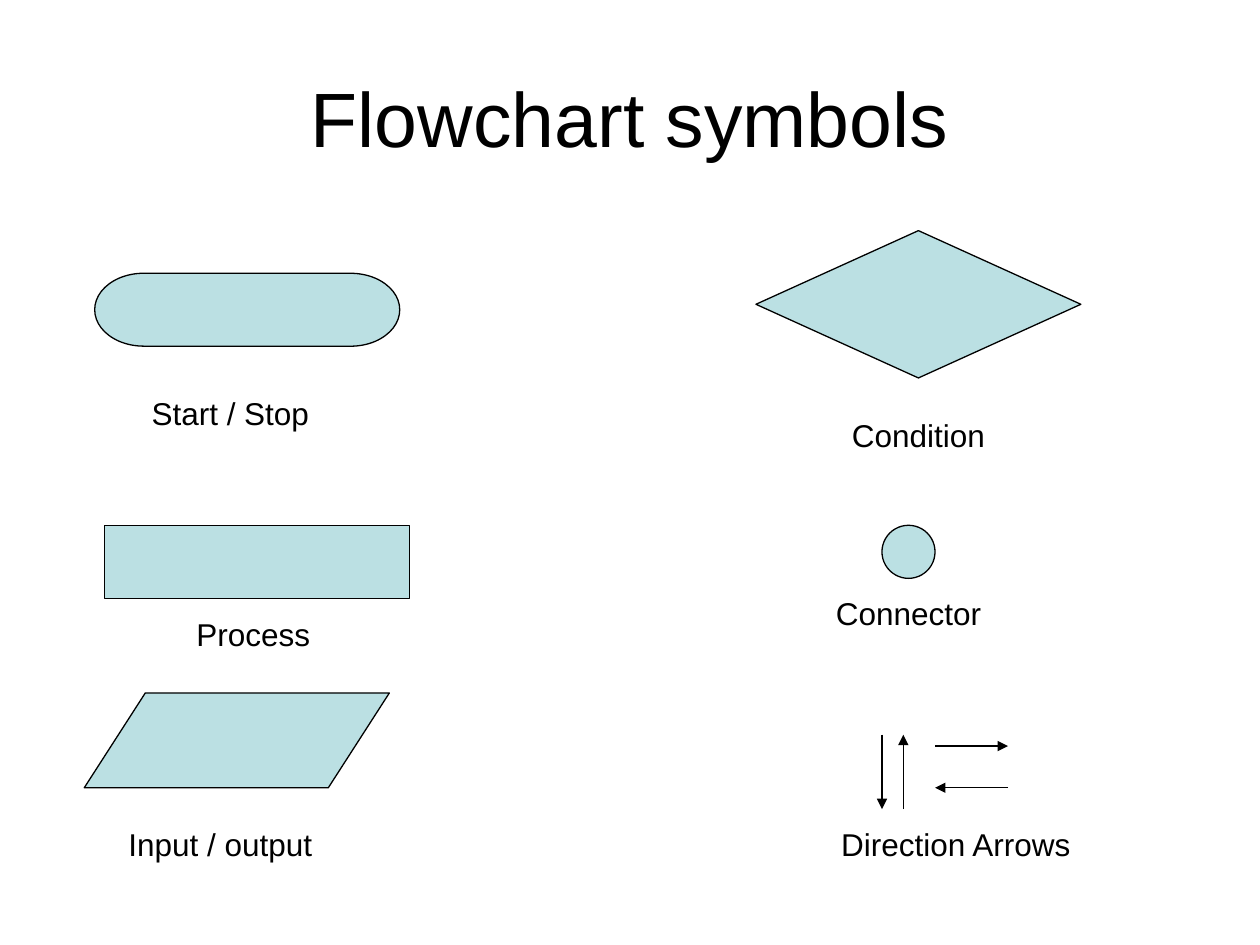
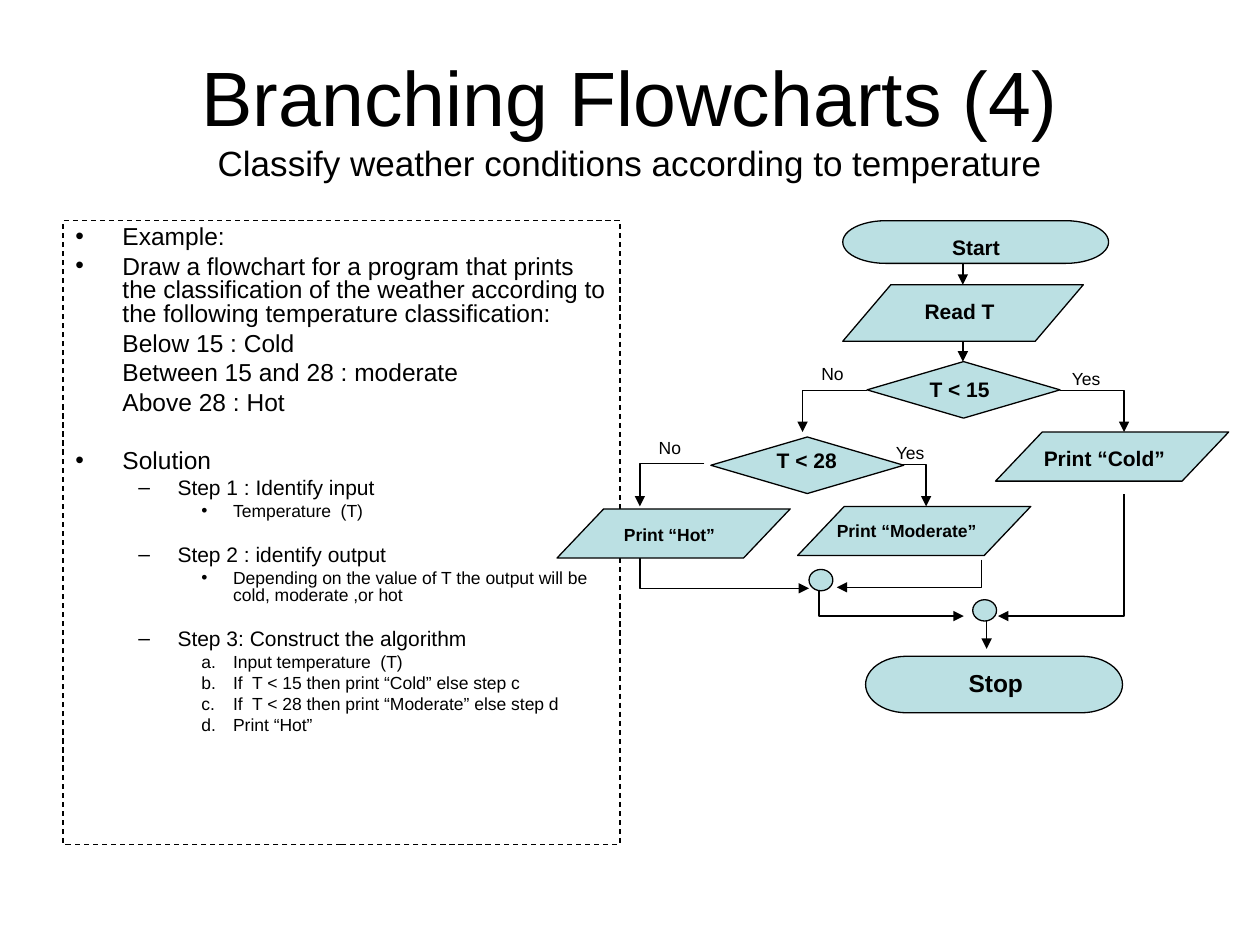
from lxml import etree
from pptx import Presentation
from pptx import util as u
from pptx.dml.color import RGBColor
from pptx.enum import dml, shapes, text
from pptx.oxml import ns

BLACK = RGBColor(0x00, 0x00, 0x00)
PALE_TEAL = RGBColor(0xBB, 0xE0, 0xE3)
FONT = "Arial"
LEFT, CENTER = text.PP_ALIGN.LEFT, text.PP_ALIGN.CENTER

TERMINATOR = shapes.MSO_SHAPE.FLOWCHART_TERMINATOR
PROCESS = shapes.MSO_SHAPE.FLOWCHART_PROCESS
DATA = shapes.MSO_SHAPE.FLOWCHART_DATA
JOIN = shapes.MSO_SHAPE.FLOWCHART_CONNECTOR
DECISION = shapes.MSO_SHAPE.FLOWCHART_DECISION

# Slide 1 content, all lengths in cm
TITLE_BOX = (1.27, 0.76, 22.86, 3.18)
SYMBOLS = [  # kind, (left, top, width, height)
    (TERMINATOR, (1.91, 5.51, 6.15, 1.47)),
    (PROCESS, (2.11, 10.59, 6.15, 1.47)),
    (DATA, (1.7, 13.97, 6.15, 1.91)),
    (JOIN, (17.78, 10.59, 1.07, 1.07)),
    (DECISION, (15.24, 4.65, 6.55, 2.97)),
]
SYMBOL_NAMES = [  # words, left, top, width, alignment
    ("Start / Stop", 2.74, 7.82, 3.81, CENTER),
    ("Process ", 2.97, 12.27, 4.45, CENTER),
    ("Input / output", 2.34, 16.51, 4.65, LEFT),
    ("Condition", 16.51, 8.26, 4.01, CENTER),
    ("Connector", 16.31, 11.86, 4.01, CENTER),
    ("Direction Arrows", 16.31, 16.51, 5.92, CENTER),
]
DIRECTION_ARROWS = [
    [(17.78, 14.81), (17.78, 16.31)],
    [(18.21, 16.31), (18.21, 14.81)],
    [(18.85, 15.04), (20.32, 15.04)],
    [(20.32, 15.88), (18.85, 15.88)],
]

# Slide 2 content
EXERCISE_BOX = (1.27, 4.45, 11.23, 12.57)
EXERCISE = [  # level, bullet, words, extra gap above in points
    (0, "•", "Example:", 0),
    (0, "•", "Draw a flowchart for a program that prints the classification of "
             "the weather according to the following temperature classification:", 0),
    (0, None, "Below 15 : Cold", 0),
    (0, None, "Between 15 and 28 : moderate", 0),
    (0, None, "Above 28 : Hot", 0),
    (0, "•", "Solution", 16.4),
    (1, "–", "Step 1 : Identify input", 0),
    (2, "•", "Temperature  (T)", 0),
    (1, "–", "Step 2 : identify output", 11.7),
    (2, "•", "Depending on the value of T the output will be cold, moderate ,or hot", 0),
    (1, "–", "Step 3: Construct the algorithm", 11.7),
    (2, "a.", "Input temperature  (T)", 0),
    (2, "a.", "If  T < 15 then print “Cold” else step c", 0),
    (2, "a.", "If  T < 28 then print “Moderate” else step d", 0),
    (2, "a.", "Print “Hot”", 0),
]
LEVELS = [(14, 0.95, 0.95), (12, 2.06, 0.79), (10, 3.18, 0.64)]  # size, margin, hanging

TEST, PRINT, DOT = (3.89, 1.14), (4.7, 0.99), (0.48, 0.43)
NODES = [  # kind, left, top, size
    (TERMINATOR, 16.99, 4.45, (5.36, 0.86)),
    (DATA, 16.99, 5.74, (4.85, 1.14)),
    (DECISION, 17.48, 7.29, TEST),
    (DECISION, 14.33, 8.81, TEST),
    (DATA, 20.07, 8.71, PRINT),
    (DATA, 16.08, 10.21, PRINT),
    (DATA, 11.23, 10.26, PRINT),
    (JOIN, 16.31, 11.48, DOT),
    (JOIN, 19.61, 12.09, DOT),
    (TERMINATOR, 17.45, 13.23, (5.18, 1.14)),
]
NODE_WIDTH = 3.73
NODE_TEXTS = [  # words, left, top, size
    ("Start", 17.81, 4.6, 12),
    ("Read T", 17.48, 5.89, 12),
    ("T < 15", 17.48, 7.47, 12),
    ("T < 28", 14.4, 8.89, 12),
    ("Print “Cold”", 20.4, 8.86, 12),
    ("Print “Moderate”", 16.41, 10.36, 10),
    ("Print “Hot”", 11.63, 10.44, 10),
    ("Stop", 18.21, 13.34, 14),
]
BRANCH_WIDTH = 1.45
BRANCH_NAMES = [("No", 16.31, 7.19), ("Yes", 21.36, 7.29),
                ("No", 13.03, 8.69), ("Yes", 17.81, 8.79)]
FLOWS = [
    [(19.41, 4.72), (19.41, 5.74)],
    [(19.41, 6.43), (19.41, 7.29)],
    [(21.36, 7.87), (22.66, 7.87), (22.66, 8.71)],
    [(17.48, 7.87), (16.18, 7.87), (16.18, 8.71)],
    [(17.37, 9.37), (18.67, 9.37), (18.67, 10.21)],
    [(14.2, 9.35), (12.9, 9.35), (12.9, 10.21)],
    [(19.79, 11.28), (19.79, 11.84), (16.87, 11.84)],
    [(12.9, 11.23), (12.9, 11.86), (16.31, 11.86)],
    [(16.51, 11.86), (16.51, 12.42), (19.43, 12.42)],
    [(22.66, 9.96), (22.66, 12.42), (20.12, 12.42)],
    [(19.89, 12.52), (19.89, 13.08)],
]


def cm(values):
    return [u.Cm(v) for v in values]


def add_xml(parent, tag, **attrs):
    return etree.SubElement(parent, ns.qn(tag), attrs)


def set_font(r, size, bold=False):
    r.font.name, r.font.size, r.font.bold = FONT, u.Pt(size), bold
    r.font.color.rgb = BLACK


def set_line(sp):
    sp.line.color.rgb = BLACK
    sp.line.width = u.Pt(0.75)


def add_symbol(slide, kind, box):
    sp = slide.shapes.add_shape(kind, *cm(box))
    sp.shadow.inherit = False
    sp.fill.solid()
    sp.fill.fore_color.rgb = PALE_TEAL
    set_line(sp)


def add_arrow(slide, points):
    """Straight arrow for two points, bent arrow for more."""
    points = [cm(point) for point in points]
    if len(points) == 2:
        sp = slide.shapes.add_connector(
            shapes.MSO_CONNECTOR.STRAIGHT, *points[0], *points[1])
        set_line(sp)
        add_xml(sp._element.spPr, "a:effectLst")
    else:
        builder = slide.shapes.build_freeform(*points[0])
        builder.add_line_segments(points[1:], close=False)
        sp = builder.convert_to_shape()
        sp.fill.background()
        set_line(sp)
        sp.shadow.inherit = False
    add_xml(sp.line._get_or_add_ln(), "a:tailEnd", type="triangle")


def add_label(slide, words, left, top, width, size, align=LEFT, bold=False):
    height = 0.26 + 0.043 * size
    tf = slide.shapes.add_textbox(*cm((left, top, width, height))).text_frame
    tf.word_wrap = True
    p = tf.paragraphs[0]
    p.text, p.alignment = words, align
    set_font(p.runs[0], size, bold)


def add_title(slide, title, subtitle=None):
    tf = slide.shapes.add_textbox(*cm(TITLE_BOX)).text_frame
    tf.word_wrap = True
    tf.vertical_anchor = text.MSO_ANCHOR.MIDDLE
    p = tf.paragraphs[0]
    p.text = f"{title}\v{subtitle}" if subtitle else title
    p.alignment = CENTER
    for r, size in zip(p.runs, (44, 20)):
        set_font(r, size)


def add_exercise(slide):
    sp = slide.shapes.add_shape(shapes.MSO_SHAPE.RECTANGLE, *cm(EXERCISE_BOX))
    sp.shadow.inherit = False
    sp.fill.background()
    set_line(sp)
    sp.line.dash_style = dml.MSO_LINE.DASH
    tf = sp.text_frame
    tf.word_wrap = True
    tf.vertical_anchor = text.MSO_ANCHOR.TOP
    for i, (level, bullet, words, gap) in enumerate(EXERCISE):
        size, margin, hanging = LEVELS[level]
        p = tf.add_paragraph() if i else tf.paragraphs[0]
        p.text, p.level, p.alignment = words, level, LEFT
        p.line_spacing = 0.8
        p.space_before = u.Pt(size / 4 + gap)
        set_font(p.runs[0], size)
        pPr = p._p.get_or_add_pPr()
        pPr.set("marL", str(u.Cm(margin)))
        pPr.set("indent", str(-u.Cm(hanging) if bullet else 0))
        if bullet == "a.":
            add_xml(pPr, "a:buFont", typeface=FONT)
            add_xml(pPr, "a:buAutoNum", type="alphaLcPeriod")
        elif bullet:
            add_xml(pPr, "a:buFont", typeface=FONT)
            add_xml(pPr, "a:buChar", char=bullet)


def build_symbols(slide):
    add_title(slide, "Flowchart symbols")
    for kind, box in SYMBOLS:
        add_symbol(slide, kind, box)
    for points in DIRECTION_ARROWS:
        add_arrow(slide, points)
    for words, left, top, width, align in SYMBOL_NAMES:
        add_label(slide, words, left, top, width, 18, align)


def build_branching(slide):
    add_title(slide, "Branching Flowcharts (4)",
              "Classify weather conditions according to temperature")
    add_exercise(slide)
    # Arrows lie behind the nodes
    for points in FLOWS:
        add_arrow(slide, points)
    for kind, left, top, size in NODES:
        add_symbol(slide, kind, (left, top, *size))
    for words, left, top, size in NODE_TEXTS:
        add_label(slide, words, left, top, NODE_WIDTH, size, CENTER, bold=True)
    for words, left, top in BRANCH_NAMES:
        add_label(slide, words, left, top, BRANCH_WIDTH, 10)


def main():
    prs = Presentation()
    prs.slide_width, prs.slide_height = u.Cm(25.4), u.Cm(19.05)
    for build in (build_symbols, build_branching):
        build(prs.slides.add_slide(prs.slide_layouts[6]))
    prs.save("out.pptx")


if __name__ == "__main__":
    main()
